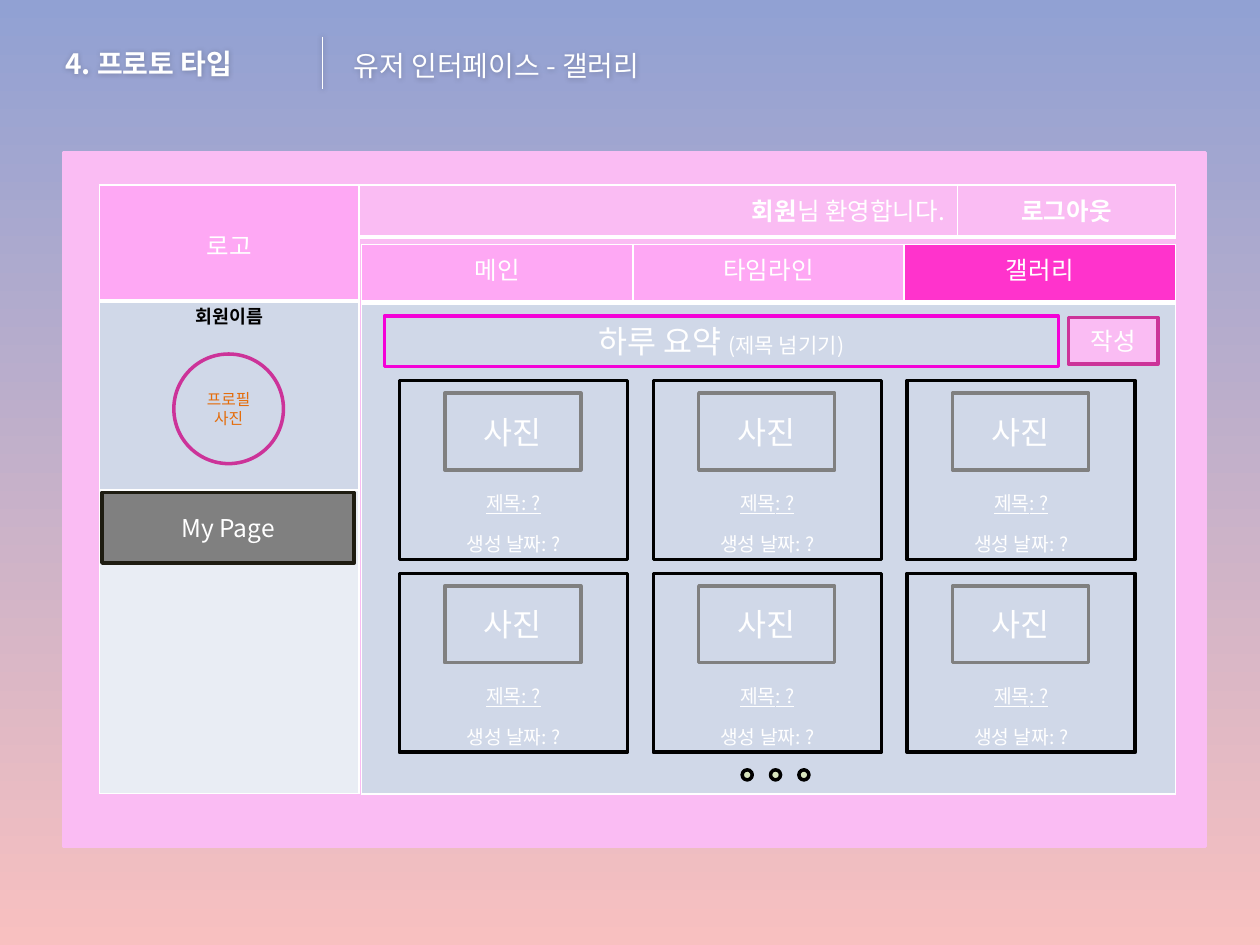
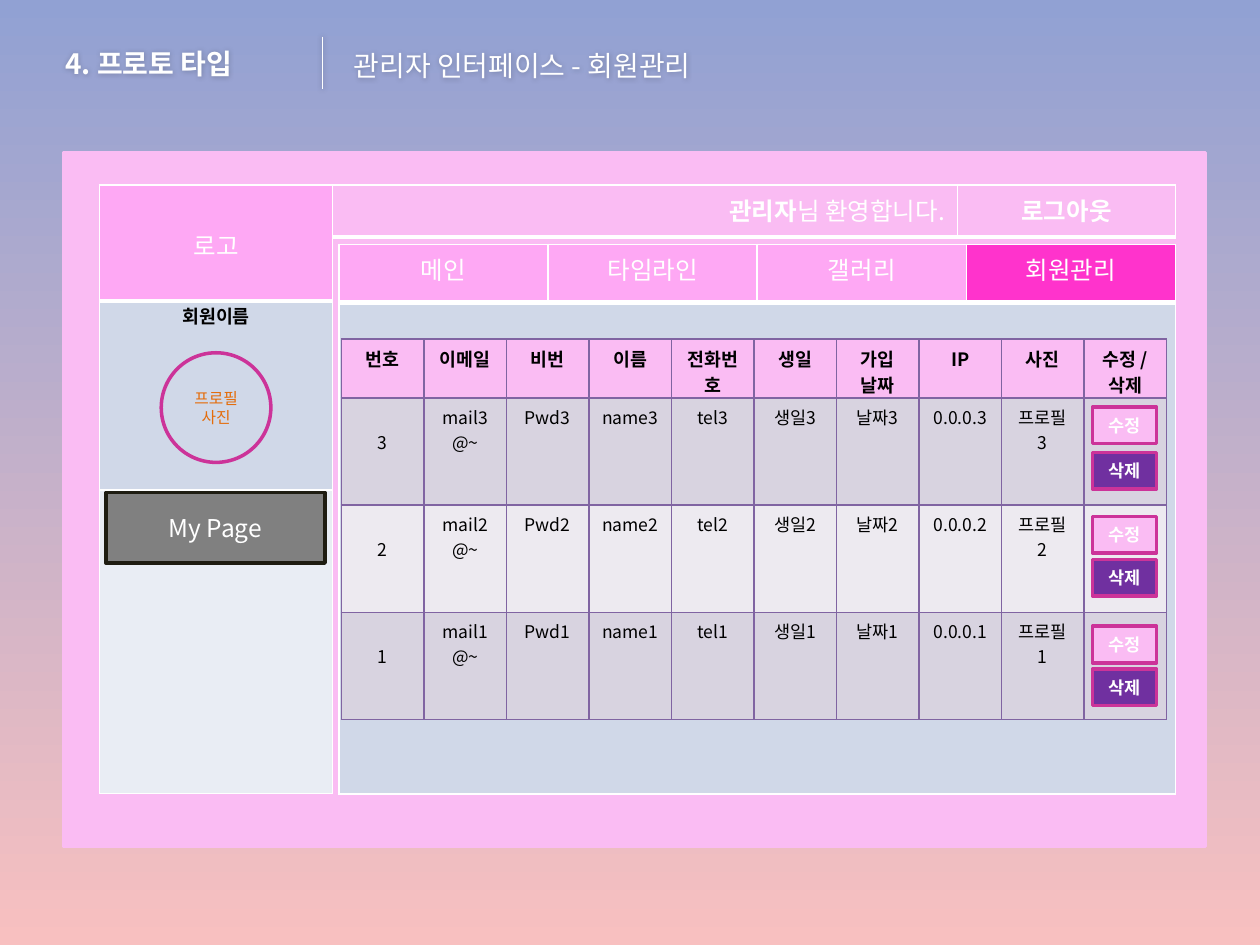
from dataclasses import dataclass
from itertools import product
from lxml.etree import SubElement
from pptx import Presentation
from pptx.dml.color import RGBColor
from pptx.enum.shapes import MSO_CONNECTOR, MSO_SHAPE
from pptx.enum.text import MSO_ANCHOR, PP_ALIGN
from pptx.oxml.ns import qn
from pptx.util import Inches, Pt


@dataclass(frozen=True)
class Theme:
    font: str = "Noto Sans CJK KR"
    latin: str = "Arial"
    sky: str = "91A1D3"
    blush: str = "F8C0C0"
    white: str = "FFFFFF"
    black: str = "000000"
    panel: str = "FABCF3"
    tab: str = "FEA8F4"
    active: str = "FF33CC"
    rose: str = "CC3399"
    magenta: str = "F402D7"
    body: str = "D0D8E8"
    pale: str = "E9EDF4"
    gray: str = "808080"
    dark: str = "1E1C11"
    orange: str = "E46C0A"
    dot: str = "D7E4BD"
    purple: str = "7030A0"
    grid: str = "8064A2"
    odd: str = "D8D3E0"
    even: str = "EDEAF0"
    title: int = 16
    photo: int = 18
    label: int = 14
    hint: int = 12
    card: int = 11
    head: float = 10.5
    small: int = 10
    tiny: int = 9


T = Theme()
RECT = MSO_SHAPE.RECTANGLE
CENTER = PP_ALIGN.CENTER
THICK = {"L": 1, "R": 1, "T": 1, "B": 3}
THIN = dict.fromkeys("LRTB", 1)


def rgb(color):
    return RGBColor.from_string(color)


def area(*sides):
    return [Inches(side) for side in sides]


def write(frame, text, size, color=T.white, bold=False, align=CENTER, font=T.font):
    frame.word_wrap = True
    for i, line in enumerate(text.split("\n")):
        para = frame.add_paragraph() if i else frame.paragraphs[0]
        para.alignment = align
        para.font.name = font
        SubElement(para.font._rPr, qn("a:ea"), typeface=font)
        para.font.size = Pt(size)
        para.font.bold = bold
        para.font.color.rgb = rgb(color)
        para.add_run().text = line
    return frame.paragraphs[-1]


def shade(shape):
    effect = SubElement(shape._element.spPr, qn("a:effectLst"))
    shadow = SubElement(effect, qn("a:outerShdw"), blurRad=str(Pt(3)), dist="0")
    color = SubElement(shadow, qn("a:srgbClr"), val=T.black)
    SubElement(color, qn("a:alpha"), val="20000")


def add_box(slide, place, line, fill=None, kind=RECT):
    shape = slide.shapes.add_shape(kind, *area(*place))
    shape.shadow.inherit = False
    shape.line.color.rgb = rgb(line)
    shape.line.width = Pt(2)
    if fill:
        shape.fill.solid()
        shape.fill.fore_color.rgb = rgb(fill)
    else:
        shape.fill.background()
    shape.text_frame.vertical_anchor = MSO_ANCHOR.MIDDLE
    return shape


def add_label(slide, place, text, size, line, fill=None, color=T.white,
              bold=False, kind=RECT):
    shape = add_box(slide, place, line, fill, kind)
    return write(shape.text_frame, text, size, color, bold)


def add_title(slide, place, text, bold=False):
    box = slide.shapes.add_textbox(*area(*place))
    write(box.text_frame, text, T.title, bold=bold, align=PP_ALIGN.LEFT)
    shade(box)


def add_grid(slide, left, top, cols, rows):
    place = area(left, top, sum(cols), sum(rows))
    table = slide.shapes.add_table(len(rows), len(cols), *place).table
    table.first_row = table.horz_banding = False
    for col, width in zip(table.columns, cols):
        col.width = Inches(width)
    for row, height in zip(table.rows, rows):
        row.height = Inches(height)
    return table


def dress(cell, fill=None, edges=THIN, color=T.white):
    props = cell._tc.get_or_add_tcPr()
    for side, width in edges.items():
        line = SubElement(props, qn("a:ln" + side), w=str(Pt(width)))
        solid = SubElement(line, qn("a:solidFill"))
        SubElement(solid, qn("a:srgbClr"), val=color)
    if fill:
        cell.fill.solid()
        cell.fill.fore_color.rgb = rgb(fill)
    else:
        cell.fill.background()


def add_header(slide, name):
    table = add_grid(slide, 0.79, 1.47, [6.81, 1.73], [0.41])
    hello, leave = table.cell(0, 0), table.cell(0, 1)
    para = write(hello.text_frame, name, T.label, align=PP_ALIGN.RIGHT)
    para.runs[0].font.bold = True
    para.add_run().text = "님 환영합니다."
    write(leave.text_frame, "로그아웃", T.label, bold=True)
    for cell in (hello, leave):
        dress(cell, edges=THICK)


def add_side(slide, width):
    table = add_grid(slide, 0.79, 1.47, [width], [0.92, 1.5, 2.41])
    logo, user, rest = [table.cell(i, 0) for i in range(3)]
    logo.margin_top = Inches(0.33)
    write(logo.text_frame, "로고", T.label)
    write(user.text_frame, "회원이름", T.head, T.black, True, font=T.latin)
    dress(logo, T.tab, THICK)
    dress(user, T.body)
    dress(rest, T.pale)


def add_menu(slide, left, tabs):
    count = len(tabs)
    table = add_grid(slide, left, 1.94, [(9.33 - left) / count] * count, [0.46, 3.9])
    for i, tab in enumerate(tabs):
        cell = table.cell(0, i)
        write(cell.text_frame, tab, T.label)
        dress(cell, T.active if i == count - 1 else T.tab, THICK)
        dress(table.cell(1, i), T.body)
    table.cell(1, 0).merge(table.cell(1, count - 1))


def add_user(slide, left, top, mine, width):
    add_label(slide, (left, top, 0.87, 0.87), "프로필 사진", T.tiny, T.rose,
              color=T.orange, kind=MSO_SHAPE.OVAL)
    add_label(slide, (mine, 3.91, width, 0.56), "My Page", T.label, T.dark, T.gray)


def add_page(deck, topic, name, side, left, tabs):
    slide = deck.slides.add_slide(deck.slide_layouts[6])
    fill = slide.background.fill
    fill.gradient()
    fill.gradient_angle = 270
    for stop, color in zip(fill.gradient_stops, (T.sky, T.blush)):
        stop.color.rgb = rgb(color)
    add_box(slide, (0.51, 1.21, 9.06, 5.51), T.panel, T.panel)
    add_title(slide, (0.42, 0.32, 2.29, 0.37), "4. 프로토 타입", True)
    add_title(slide, (2.71, 0.34, 7.11, 0.37), topic)
    rule = slide.shapes.add_connector(MSO_CONNECTOR.STRAIGHT, *area(2.56, 0.29, 2.56, 0.71))
    rule.line.color.rgb = rgb(T.white)
    rule.line.width = Pt(1)
    shade(rule)
    add_header(slide, name)
    add_side(slide, side)
    add_menu(slide, left, tabs)
    return slide


def add_card(slide, left, top):
    add_label(slide, (left + 0.36, top + 0.1, 1.08, 0.61), "사진", T.photo, T.gray)
    card = add_box(slide, (left, top, 1.81, 1.42), T.black, kind=MSO_SHAPE.FLOWCHART_PROCESS)
    frame = card.text_frame
    frame.vertical_anchor = MSO_ANCHOR.BOTTOM
    frame.margin_bottom = Inches(0.03)
    date = write(frame, "제목: ?\n생성 날짜: ?", T.card)
    date.space_before = Pt(10.4)
    frame.paragraphs[0].font.underline = True


def add_list(slide):
    heads = ["번호", "이메일", "비번", "이름", "전화번호", "생일", "가입\n날짜",
             "IP", "사진", "수정 / 삭제"]
    forms = ["{}", "mail{}\n@~", "Pwd{}", "name{}", "tel{}", "생일{}", "날짜{}",
             "0.0.0.{}", "프로필{}", ""]
    table = add_grid(slide, 2.71, 2.69, [0.655] * len(heads), [0.47] + [0.85] * 3)
    for i, (head, form) in enumerate(zip(heads, forms)):
        cell = table.cell(0, i)
        write(cell.text_frame, head, T.head, T.black, True)
        dress(cell, T.panel, color=T.grid)
        for row in (1, 2, 3):
            cell = table.cell(row, i)
            if form:
                write(cell.text_frame, form.format(4 - row), T.small, T.black)
            if i == 0:
                cell.margin_top = Inches(0.25)
            dress(cell, T.odd if row % 2 else T.even, color=T.grid)


def add_gallery(deck):
    slide = add_page(deck, "유저 인터페이스 - 갤러리", "회원", 2.06, 2.87,
                     ["메인", "타임라인", "갤러리"])
    add_label(slide, (8.48, 2.52, 0.71, 0.37), "작성", T.label, T.rose, T.panel)
    add_user(slide, 1.38, 2.81, 0.81, 2)
    para = add_label(slide, (3.05, 2.51, 5.35, 0.4), "하루 요약 ", T.photo, T.magenta)
    hint = para.add_run()
    hint.text = "(제목 넘기기)"
    hint.font.size = Pt(T.hint)
    for i in range(3):
        add_box(slide, (5.89 + 0.225 * i, 6.11, 0.08, 0.08), T.black, T.dot,
                MSO_SHAPE.FLOWCHART_CONNECTOR)
    for row, col in product(range(2), range(3)):
        add_card(slide, 3.17 + 2.015 * col, 3.02 + 1.53 * row)


def add_admin(deck):
    slide = add_page(deck, "관리자 인터페이스 - 회원관리", "관리자", 1.85, 2.69,
                     ["메인", "타임라인", "갤러리", "회원관리"])
    add_user(slide, 1.28, 2.8, 0.84, 1.74)
    add_list(slide)
    for edit, drop in ((3.23, 3.59), (4.1, 4.44), (4.97, 5.31)):
        for top, text, fill in ((edit, "수정", T.panel), (drop, "삭제", T.purple)):
            add_label(slide, (8.67, top, 0.51, 0.29), text, T.small, T.rose, fill, bold=True)


def main():
    deck = Presentation()
    deck.slide_width, deck.slide_height = area(10, 7.5)
    add_gallery(deck)
    add_admin(deck)
    deck.save("out.pptx")


if __name__ == "__main__":
    main()
